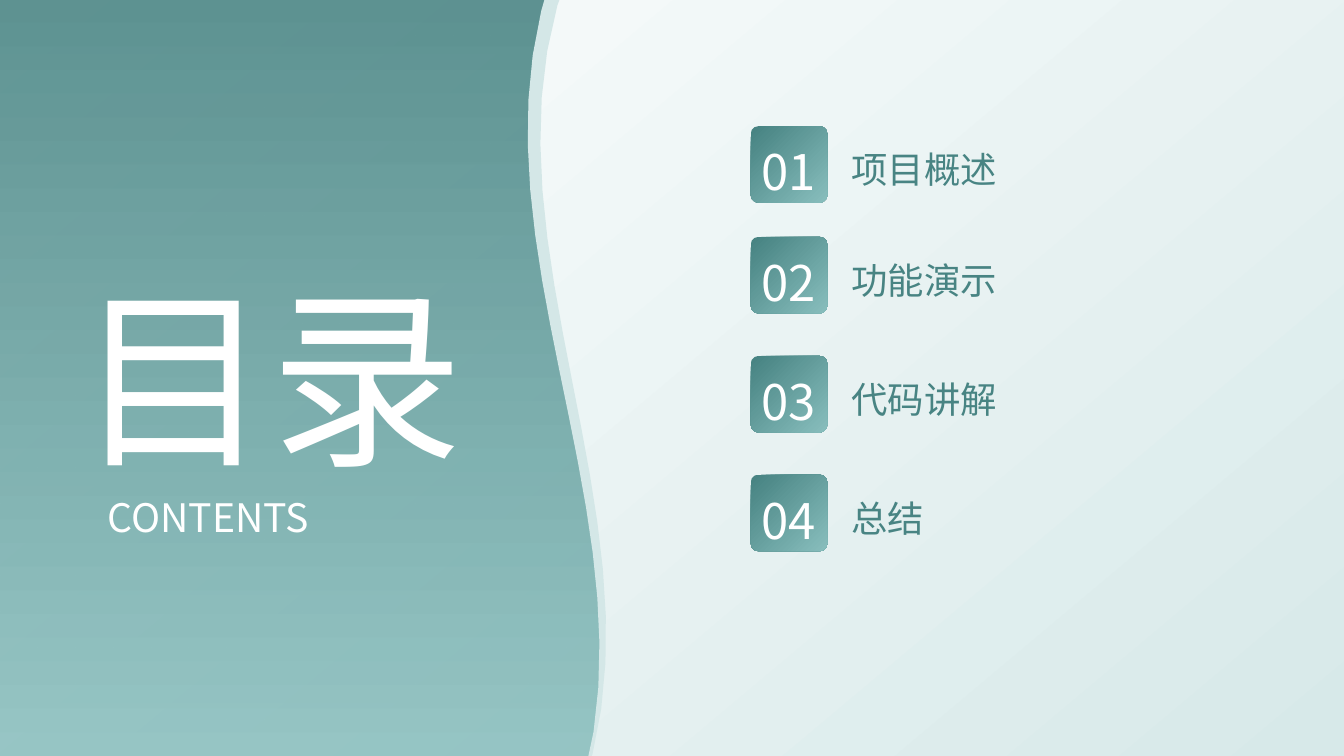
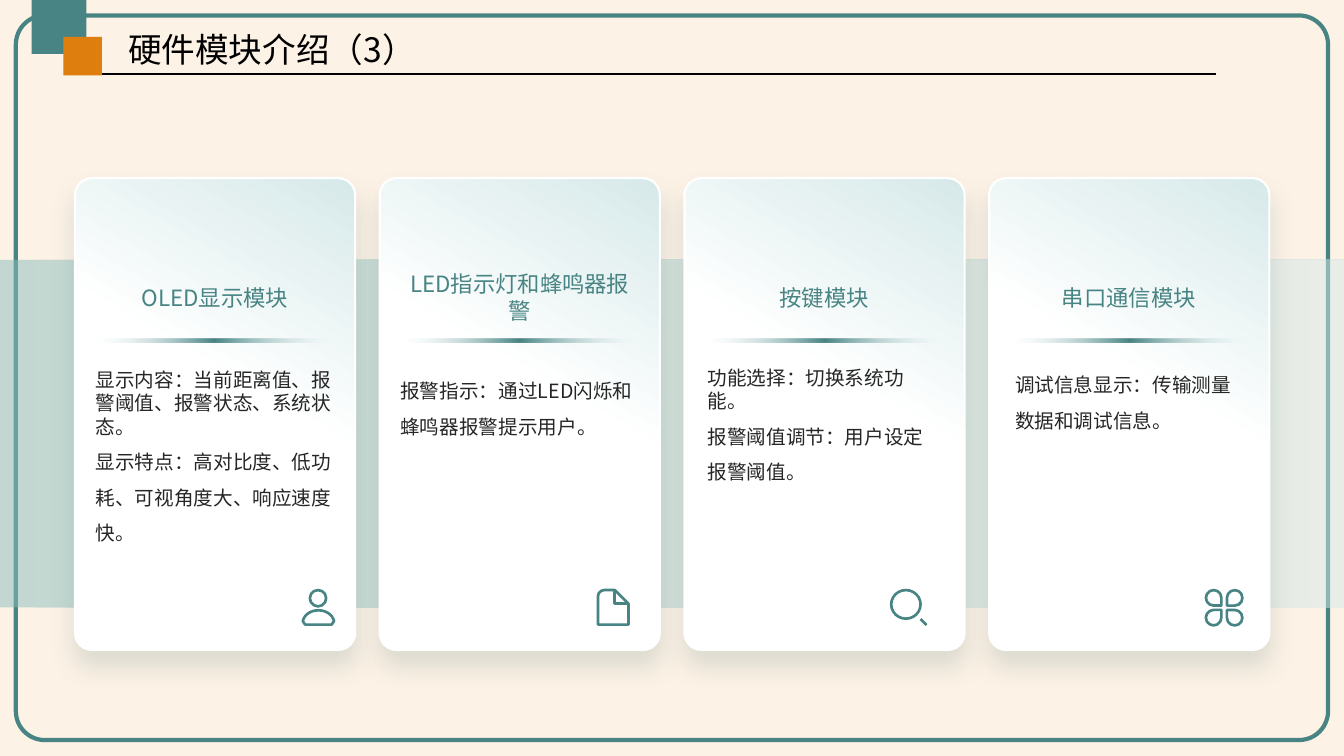
from lxml.etree import SubElement
from pptx import Presentation
from pptx.dml.color import RGBColor
from pptx.enum.shapes import MSO_CONNECTOR, MSO_SHAPE
from pptx.enum.text import MSO_ANCHOR, MSO_AUTO_SIZE, PP_ALIGN
from pptx.oxml.ns import qn
from pptx.util import Cm, Pt

FONT = "Noto Sans CJK SC"
TEAL = RGBColor(0x48, 0x84, 0x83)
AQUA = RGBColor(0x88, 0xBE, 0xBD)
MIST = RGBColor(0xD7, 0xE9, 0xE9)
RIBBON = RGBColor(0xD4, 0xE7, 0xE7)
CREAM = RGBColor(0xFD, 0xF2, 0xE6)
ORANGE = RGBColor(0xDD, 0x7E, 0x0E)
SHADE = RGBColor(0x36, 0x63, 0x62)
INK = RGBColor(0x26, 0x26, 0x26)
BLACK = RGBColor(0, 0, 0)
WHITE = RGBColor(0xFF, 0xFF, 0xFF)


def dress(shape, stops=(), angle=0, line=None, width=1):
    shape.shadow.inherit = False
    if not stops:
        shape.fill.background()
    elif len(stops) == 1:
        shape.fill.solid()
        shape.fill.fore_color.rgb = stops[0]
    else:
        shape.fill.gradient()
        gradient = shape._element.spPr.find(qn("a:gradFill"))
        stop_list = gradient.find(qn("a:gsLst"))
        for old_stop in list(stop_list):
            stop_list.remove(old_stop)
        for position, color, alpha in stops:
            stop = SubElement(stop_list, qn("a:gs"), pos=str(position * 1000))
            tint = SubElement(stop, qn("a:srgbClr"), val=str(color))
            SubElement(tint, qn("a:alpha"), val=str(alpha * 1000))
        gradient.find(qn("a:lin")).set("ang", str(angle * 60000))
    if line is None:
        shape.line.fill.background()
    else:
        shape.line.color.rgb = line
        shape.line.width = Pt(width)


def write(shape, lines, size, color, align=PP_ALIGN.LEFT, spacing=1.0, anchor=MSO_ANCHOR.MIDDLE):
    frame = shape.text_frame
    frame.text = "\n".join(lines)
    frame.word_wrap = True
    frame.auto_size = MSO_AUTO_SIZE.NONE
    frame.vertical_anchor = anchor
    frame.margin_left = frame.margin_right = frame.margin_top = frame.margin_bottom = 0
    for paragraph in frame.paragraphs:
        paragraph.alignment = align
        paragraph.line_spacing = spacing
        paragraph._p.get_or_add_pPr().set("hangingPunct", "0")
        for run in paragraph.runs:
            run.font.name = FONT
            run.font.size = Pt(size)
            run.font.color.rgb = color
            SubElement(run._r.get_or_add_rPr(), qn("a:ea"), typeface=FONT)


prs = Presentation()
prs.slide_width, prs.slide_height = Cm(33.87), Cm(19.05)
master_fill = prs.slide_master.background.fill
master_fill.solid()
master_fill.fore_color.rgb = CREAM
title_only = prs.slide_layouts[5]

curves = []
for (x0, y0), (x1, y1), (x2, y2), (x3, y3) in (
    ((14, 0.13), (12.27, 6.27), (16.41, 12.88), (14.88, 19.02)),
    ((13.64, 0.28), (12.19, 6.22), (15.88, 12.47), (14.96, 18.44)),
    ((7.63, 15.65), (7.73, 15.29), (8.32, 15.29), (8.42, 15.65)),
):
    points = []
    for step in range(17):
        t = step / 16
        s = 1 - t
        points.append((
            Cm(s**3 * x0 + 3 * s * s * t * x1 + 3 * s * t * t * x2 + t**3 * x3),
            Cm(s**3 * y0 + 3 * s * s * t * y1 + 3 * s * t * t * y2 + t**3 * y3),
        ))
    curves.append(points)
outer_edge, inner_edge, shoulders = curves

contents = prs.slides.add_slide(title_only)
shapes = contents.shapes
backdrop = shapes.add_shape(MSO_SHAPE.RECTANGLE, 0, 0, prs.slide_width, prs.slide_height)
dress(backdrop, [(0, WHITE, 100), (100, MIST, 100)], 50)

wave_path = shapes.build_freeform(0, 0)
wave_path.add_line_segments(
    [(Cm(14.05), 0), *outer_edge, (Cm(14.86), Cm(19.05)), (0, Cm(19.05))], close=True)
dress(wave_path.convert_to_shape(), [(0, TEAL, 88), (100, AQUA, 85)], 90)

ribbon_path = shapes.build_freeform(Cm(14.1), 0)
ribbon_path.add_line_segments(
    [*((x + Cm(0.05), y) for x, y in outer_edge), (Cm(14.91), Cm(19.05)),
     (Cm(14.83), Cm(19.05)), *reversed(inner_edge), (Cm(13.72), 0)], close=True)
dress(ribbon_path.convert_to_shape(), [RIBBON])

heading = shapes.title
heading.left, heading.top, heading.width, heading.height = Cm(1.17), Cm(7), Cm(11.28), Cm(4.88)
write(heading, ["目录"], 138, WHITE, PP_ALIGN.CENTER)
shapes._spTree.append(heading._element)
subheading = shapes.add_textbox(Cm(2.72), Cm(12.53), Cm(8.53), Cm(0.99))
write(subheading, ["CONTENTS"], 28, WHITE)

chapters = [("项目概述", 3.18), ("功能演示", 5.97), ("代码讲解", 8.97), ("总结", 11.96)]
for number, (chapter, top) in enumerate(chapters, 1):
    tile = shapes.add_shape(MSO_SHAPE.ROUNDED_RECTANGLE, Cm(18.92), Cm(top), Cm(1.93), Cm(1.93))
    tile.adjustments[0] = 0.1
    dress(tile, [(4, TEAL, 100), (100, AQUA, 100)], 45)
    write(tile, [f"{number:02}"], 35, WHITE, PP_ALIGN.CENTER, 1.1)
    tile.text_frame.margin_top = Cm(0.2)
    label = shapes.add_textbox(Cm(21.46), Cm(top + 0.32), Cm(10.16), Cm(1.93))
    write(label, [chapter], 26, TEAL, spacing=1.2, anchor=MSO_ANCHOR.TOP)

hardware = prs.slides.add_slide(title_only)
shapes = hardware.shapes
heading = shapes.title
heading.left, heading.top, heading.width, heading.height = Cm(3.23), Cm(0.5), Cm(21.62), Cm(1.37)
write(heading, ["硬件模块介绍（3）"], 24, BLACK, spacing=1.1)

border = shapes.add_shape(MSO_SHAPE.ROUNDED_RECTANGLE, Cm(0.4), Cm(0.39), Cm(33.07), Cm(18.26))
border.adjustments[0] = 0.04
dress(border, line=TEAL, width=3)
band = shapes.add_shape(MSO_SHAPE.RECTANGLE, 0, Cm(6.55), prs.slide_width, Cm(8.76))
dress(band, [(0, AQUA, 50), (100, MIST, 50)])

modules = [
    ("OLED显示模块", (2.41, 9.27, 6.02),
     ["显示内容：当前距离值、报警阈值、报警状态、系统状态。",
      "显示特点：高对比度、低功耗、可视角度大、响应速度快。"]),
    ("LED指示灯和蜂鸣器报警", (10.09, 9.26, 6.02),
     ["报警指示：通过LED闪烁和蜂鸣器报警提示用户。"]),
    ("按键模块", (17.83, 9.22, 5.88),
     ["功能选择：切换系统功能。", "报警阈值调节：用户设定报警阈值。"]),
    ("串口通信模块", (25.58, 9.11, 5.74),
     ["调试信息显示：传输测量数据和调试信息。"]),
]
for column, (module, (left, top, width), details) in enumerate(modules):
    card_left = 1.89 + 7.68 * column
    card = shapes.add_shape(
        MSO_SHAPE.ROUNDED_RECTANGLE, Cm(card_left), Cm(4.49), Cm(7.06), Cm(11.89))
    card.adjustments[0] = 0.06
    dress(card, [(0, MIST, 100), (44, WHITE, 100)], 120, WHITE, 1.5)
    shadow = SubElement(
        card._element.spPr.find(qn("a:effectLst")), qn("a:outerShdw"),
        blurRad=str(Pt(18)), dist=str(Pt(11)), dir="5400000", algn="t", rotWithShape="0")
    shadow_color = SubElement(shadow, qn("a:srgbClr"), val=str(SHADE))
    SubElement(shadow_color, qn("a:alpha"), val="16000")

    name = shapes.add_textbox(Cm(left), Cm(6.72), Cm(width), Cm(1.55))
    write(name, [module], 16, TEAL, PP_ALIGN.CENTER)
    divider = shapes.add_shape(
        MSO_SHAPE.RECTANGLE, Cm(card_left + 0.58), Cm(8.53), Cm(5.89), Cm(0.1))
    dress(divider, [(0, MIST, 0), (50, TEAL, 100), (100, MIST, 0)])
    description = shapes.add_textbox(Cm(left), Cm(top), Cm(width), Cm(5.33))
    write(description, details, 14, INK, spacing=1.5, anchor=MSO_ANCHOR.TOP)
    if len(details) > 1:
        description.text_frame.paragraphs[0].line_spacing = 1.0

body_path = shapes.build_freeform(*shoulders[0])
body_path.add_line_segments(
    [*shoulders[1:], (Cm(8.36), Cm(15.74)), (Cm(7.69), Cm(15.74))], close=True)
fold_path = shapes.build_freeform(Cm(15.48), Cm(14.88))
fold_path.add_line_segments([(Cm(15.48), Cm(15.21)), (Cm(15.83), Cm(15.21))], close=False)
head = shapes.add_shape(MSO_SHAPE.OVAL, Cm(7.81), Cm(14.87), Cm(0.41), Cm(0.41))
page = shapes.add_shape(MSO_SHAPE.SNIP_ROUND_RECTANGLE, Cm(15.07), Cm(14.87), Cm(0.77), Cm(0.87))
page.adjustments[0], page.adjustments[1] = 0.2, 0.45
lens = shapes.add_shape(MSO_SHAPE.OVAL, Cm(22.46), Cm(14.87), Cm(0.74), Cm(0.72))
icon_parts = [body_path.convert_to_shape(), fold_path.convert_to_shape(), head, page, lens]
for left, top, turn in (
    (30.39, 14.87, 90), (30.92, 14.87, 180), (30.39, 15.37, 0), (30.92, 15.37, 270),
):
    petal = shapes.add_shape(MSO_SHAPE.TEAR, Cm(left), Cm(top), Cm(0.39), Cm(0.39))
    petal.rotation = turn
    icon_parts.append(petal)
for part in icon_parts:
    dress(part, line=TEAL, width=1.9)

for x1, y1, x2, y2, color, width in (
    (23.2, 15.6, 23.35, 15.75, TEAL, 1.9),
    (2.29, 1.87, 30.64, 1.87, BLACK, 1.25),
):
    rule = shapes.add_connector(MSO_CONNECTOR.STRAIGHT, Cm(x1), Cm(y1), Cm(x2), Cm(y2))
    rule.line.color.rgb = color
    rule.line.width = Pt(width)
    SubElement(rule._element.spPr, qn("a:effectLst"))

for left, top, side, color in ((0.8, -0.02, 1.38, TEAL), (1.6, 0.93, 0.97, ORANGE)):
    corner = shapes.add_shape(MSO_SHAPE.RECTANGLE, Cm(left), Cm(top), Cm(side), Cm(side))
    dress(corner, [color])

prs.save("out.pptx")
